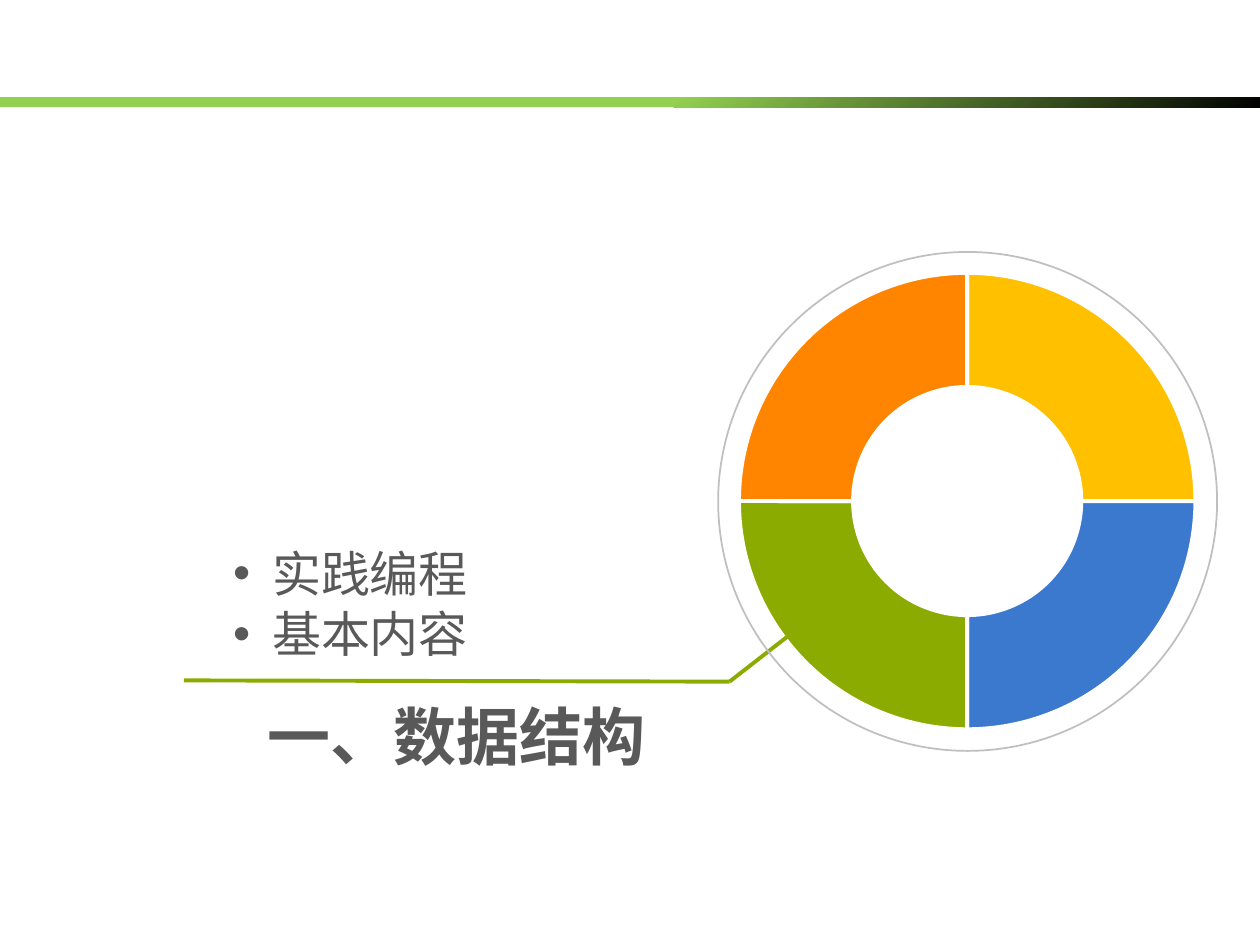
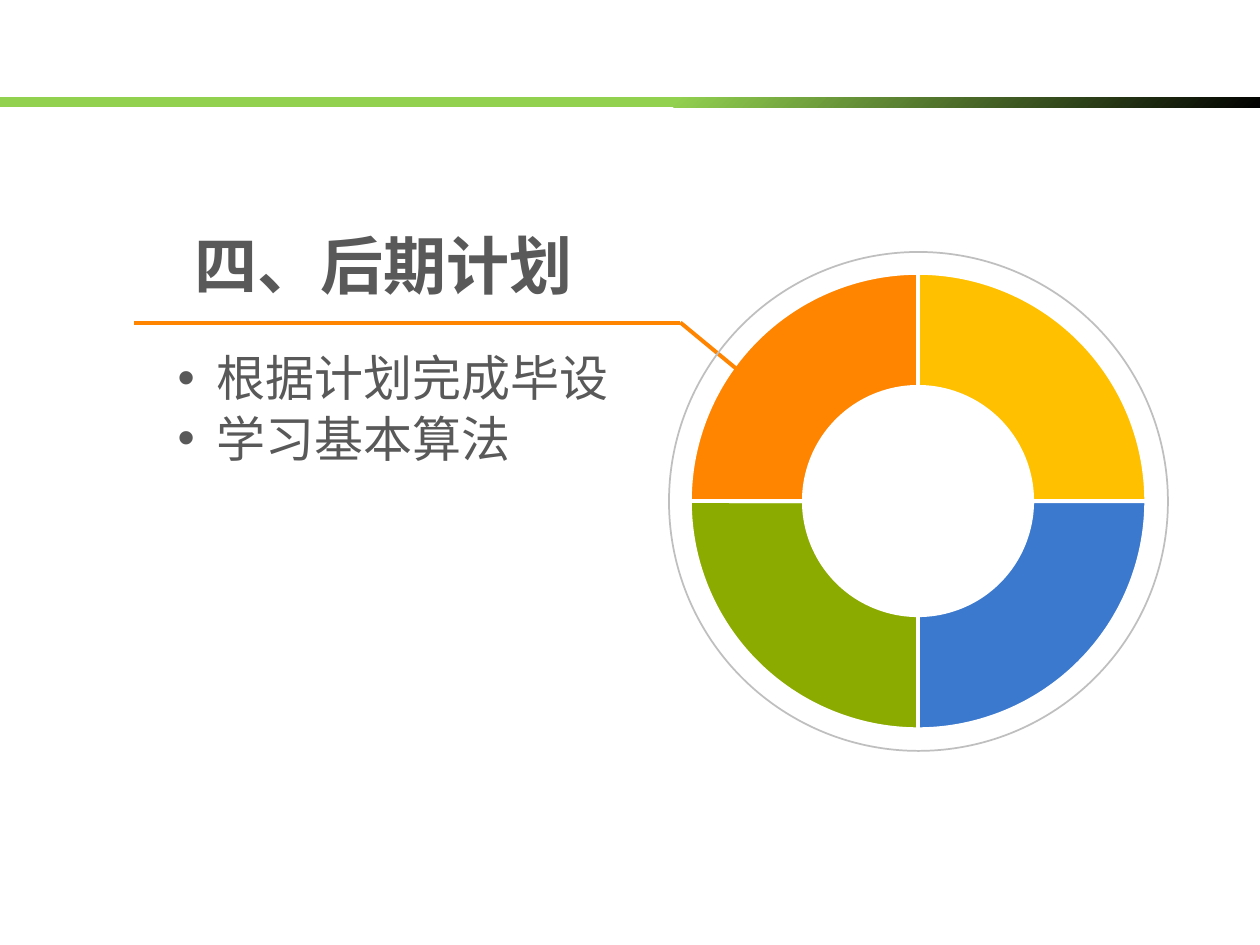
from pptx import Presentation
from pptx.chart.data import CategoryChartData
from pptx.dml.color import RGBColor
from pptx.enum.chart import XL_CHART_TYPE
from pptx.enum.shapes import MSO_CONNECTOR, MSO_SHAPE
from pptx.enum.text import MSO_ANCHOR, MSO_AUTO_SIZE, PP_ALIGN
from pptx.oxml import parse_xml
from pptx.oxml.ns import nsdecls, qn
from pptx.util import Inches, Pt

DOUGHNUT = XL_CHART_TYPE.DOUGHNUT
STRAIGHT = MSO_CONNECTOR.STRAIGHT
ELLIPSE, RECTANGLE = MSO_SHAPE.OVAL, MSO_SHAPE.RECTANGLE
MIDDLE = MSO_ANCHOR.MIDDLE
NO_AUTOFIT = MSO_AUTO_SIZE.NONE
LEFT, CENTER = PP_ALIGN.LEFT, PP_ALIGN.CENTER

# Shared style
TEXT_FONT, CHART_FONT = "Noto Sans CJK SC", "Calibri"
TEXT, RING, WHITE, BLACK = "595959", "BFBFBF", "FFFFFF", "000000"
YELLOW, BLUE, GREEN, ORANGE = "FFC000", "3B79CE", "8BAB00", "FF8500"
BAND_GREEN = "92D050"
BAND_BOX = (-0.19, 0.77, 10.24, 0.08)
QUARTERS = [("1", 25, YELLOW), ("2", 25, BLUE), ("3", 25, GREEN), ("4", 25, ORANGE)]
RING_TOP, RING_SIZE = 2, 3.96
CHART_TOP, CHART_WIDTH, CHART_HEIGHT = 2.15, 5.43, 3.93
CHART_CENTER = 2.93  # from the chart's left edge to the middle of the doughnut
PLOT_LAYOUT = {"x": 0.205, "y": 0.004, "w": 0.668, "h": 0.922}
BULLET_INDENT = 0.31

# Content: boxes are left, top, width, height; the leader runs end, bend, doughnut
SECTIONS = [
    {
        "title": "一、数据结构", "title_box": (1.78, 5.48, 3.69, 0.71),
        "items": ["实践编程", "基本内容"], "items_box": (1.75, 4.21, 3.07, 1.15),
        "ring_left": 5.7, "color": GREEN,
        "leader": [(1.46, 5.4), (5.79, 5.41), (6.33, 4.99)],
    },
    {
        "title": "四、后期计划", "title_box": (0.85, 1.74, 4.38, 0.71),
        "items": ["根据计划完成毕设", "学习基本算法"], "items_box": (1.31, 2.66, 3.74, 1.15),
        "ring_left": 5.31, "color": ORANGE,
        "leader": [(1.06, 2.56), (5.4, 2.56), (5.86, 2.94)],
    },
]


def rgb(value):
    return RGBColor.from_string(value)


def inches(values):
    return [Inches(value) for value in values]


def fill_placeholder(placeholder, box, lines, size, bold, alignment, indent=0):
    placeholder.left, placeholder.top, placeholder.width, placeholder.height = inches(box)
    frame = placeholder.text_frame
    frame.word_wrap = True
    frame.auto_size = NO_AUTOFIT
    frame.vertical_anchor = MIDDLE
    for index, line in enumerate(lines):
        paragraph = frame.add_paragraph() if index else frame.paragraphs[0]
        paragraph.alignment = alignment
        paragraph.space_before, paragraph.space_after = Pt(0), Pt(1)
        if indent:
            properties = paragraph._p.get_or_add_pPr()
            properties.set("marL", str(Inches(indent)))
            properties.set("indent", str(-Inches(indent)))
        run = paragraph.add_run()
        run.text = line
        run.font.size, run.font.bold = Pt(size), bold
        run.font.name = TEXT_FONT
        run.font.color.rgb = rgb(TEXT)
        run.font._element.append(
            parse_xml(f'<a:ea {nsdecls("a")} typeface="{TEXT_FONT}"/>'))


def add_doughnut(slide, left):
    data = CategoryChartData()
    data.categories = [name for name, _, _ in QUARTERS]
    data.add_series("Series 1", [value for _, value, _ in QUARTERS])
    box = inches((left, CHART_TOP, CHART_WIDTH, CHART_HEIGHT))
    chart = slide.shapes.add_chart(DOUGHNUT, *box, data).chart
    chart.has_title = chart.has_legend = False
    chart.font.name, chart.font.size = CHART_FONT, Pt(10)
    chart.font.color.rgb = rgb(BLACK)
    for index, (_, _, color) in enumerate(QUARTERS):
        style = chart.plots[0].series[0].points[index].format
        style.fill.solid()
        style.fill.fore_color.rgb = rgb(color)
        style.line.color.rgb = rgb(WHITE)
        style.line.width = Pt(2.25)

    # Hole size, plot position and transparent background
    chart_space = chart._chartSpace
    chart_space.find(".//" + qn("c:holeSize")).set("val", "63")
    plot_area = chart_space.find(".//" + qn("c:plotArea"))
    for layout in plot_area.findall(qn("c:layout")):
        plot_area.remove(layout)
    modes = "".join(f'<c:{key}Mode val="edge"/>' for key in "xy")
    places = "".join(f'<c:{key} val="{value}"/>' for key, value in PLOT_LAYOUT.items())
    plot_area.insert(0, parse_xml(
        f'<c:layout {nsdecls("c")}><c:manualLayout><c:layoutTarget val="inner"/>'
        f'{modes}{places}</c:manualLayout></c:layout>'))
    chart_space.find(qn("c:chart")).addnext(parse_xml(
        f'<c:spPr {nsdecls("c", "a")}><a:noFill/><a:ln><a:noFill/></a:ln></c:spPr>'))


def add_line(slide, start, end, color):
    line = slide.shapes.add_connector(STRAIGHT, *inches(start + end))
    line.line.color.rgb = rgb(color)
    line.line.width = Pt(2.25)
    line._element.spPr.append(parse_xml(f'<a:effectLst {nsdecls("a")}/>'))


def add_ring(slide, left):
    ring = slide.shapes.add_shape(
        ELLIPSE, *inches((left, RING_TOP, RING_SIZE, RING_SIZE)))
    ring.shadow.inherit = False
    ring.fill.background()
    ring.line.color.rgb = rgb(RING)
    ring.line.width = Pt(1)


def add_band(slide):
    band = slide.shapes.add_shape(RECTANGLE, *inches(BAND_BOX))
    band.shadow.inherit = False
    band.line.fill.background()
    stops = "".join(
        f'<a:gs pos="{position * 1000}"><a:srgbClr val="{color}"/></a:gs>'
        for position, color in [(0, BLACK), (46, BAND_GREEN)])
    band._element.spPr.find(qn("a:prstGeom")).addnext(parse_xml(
        f'<a:gradFill {nsdecls("a")} rotWithShape="1"><a:gsLst>{stops}</a:gsLst>'
        '<a:path path="circle"><a:fillToRect l="100000" t="100000"/></a:path>'
        '</a:gradFill>'))


def add_section(presentation, section):
    slide = presentation.slides.add_slide(presentation.slide_layouts[1])
    title, body = slide.placeholders
    fill_placeholder(title, section["title_box"], [section["title"]], 36, True, CENTER)
    fill_placeholder(body, section["items_box"], section["items"], 28, False, LEFT,
                     BULLET_INDENT)
    ring_left = section["ring_left"]
    end, bend, doughnut_edge = section["leader"]
    add_doughnut(slide, ring_left + RING_SIZE / 2 - CHART_CENTER)
    add_line(slide, bend, doughnut_edge, section["color"])
    add_ring(slide, ring_left)
    add_line(slide, bend, end, section["color"])
    add_band(slide)


def main():
    presentation = Presentation()
    presentation.slide_width, presentation.slide_height = Inches(10), Inches(7.5)
    for section in SECTIONS:
        add_section(presentation, section)
    presentation.save("out.pptx")


if __name__ == "__main__":
    main()
